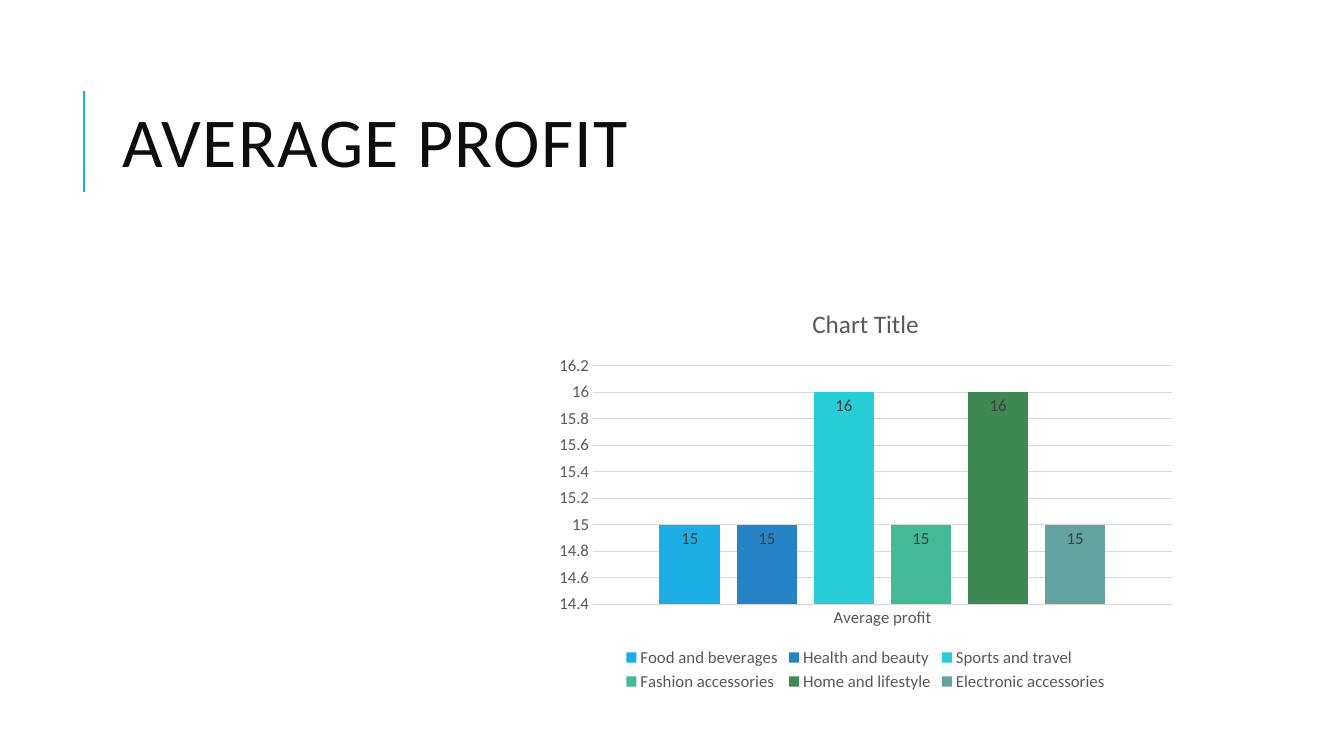
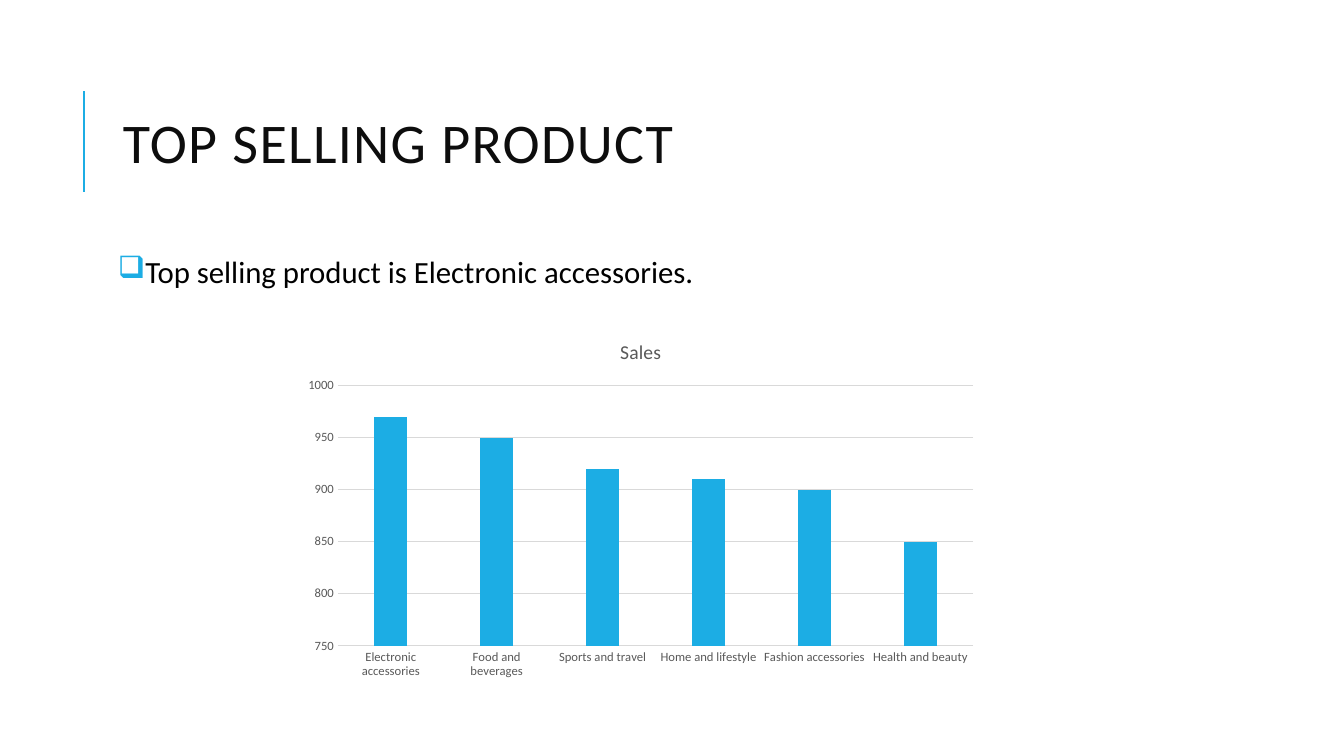
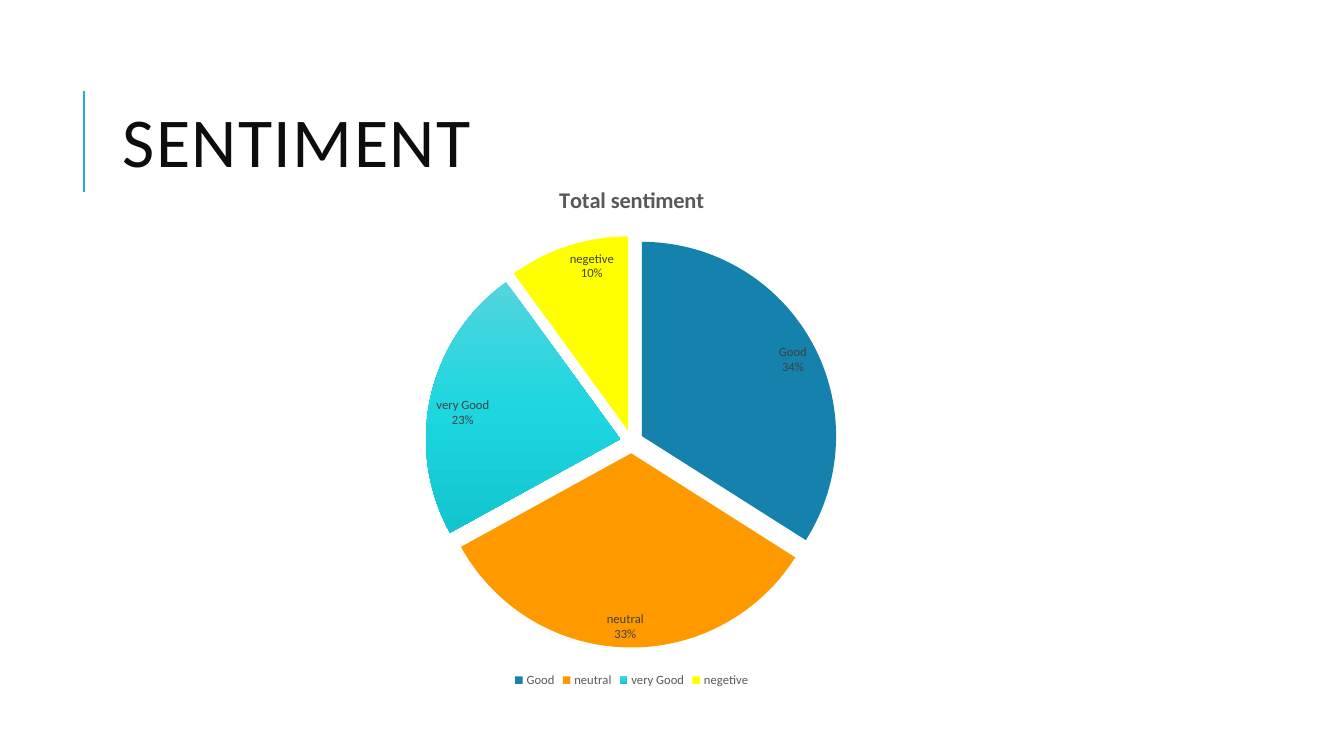
"""Build three sales slides, each with a title and a chart."""
from dataclasses import dataclass

from lxml import etree
from pptx import Presentation
from pptx.chart.chart import Chart
from pptx.chart.data import CategoryChartData
from pptx.dml.color import RGBColor
from pptx.dml.fill import FillFormat
from pptx.enum.chart import XL_CHART_TYPE, XL_LABEL_POSITION, XL_LEGEND_POSITION, XL_TICK_MARK
from pptx.enum.shapes import MSO_CONNECTOR
from pptx.enum.text import MSO_ANCHOR
from pptx.oxml.ns import qn
from pptx.slide import Slide
from pptx.text.text import Font
from pptx.util import Inches, Pt

COLUMN = XL_CHART_TYPE.COLUMN_CLUSTERED
PIE = XL_CHART_TYPE.PIE
INSIDE_END = XL_LABEL_POSITION.INSIDE_END
BOTTOM = XL_LEGEND_POSITION.BOTTOM
NO_TICK = XL_TICK_MARK.NONE
STRAIGHT = MSO_CONNECTOR.STRAIGHT
MIDDLE = MSO_ANCHOR.MIDDLE

FACE = "Calibri"
ACCENT = "1CADE4"
TITLE_INK = "0D0D0D"
BODY_INK = "000000"
CHART_INK = "595959"
LABEL_INK = "404040"
GRID = "D9D9D9"
PROFIT_COLOURS = (ACCENT, "2683C6", "27CED7", "42BA97", "3E8853", "62A39F")
PIE_COLOURS = ("1482AC", "FF9900", (("0", "52D5DD"), ("50000", "1ED6E0"), ("100000", "13C5CF")), "FFFF00")


@dataclass(frozen=True)
class Box:
    """A place on the slide, in inches."""
    left: float
    top: float
    width: float
    height: float

    def lengths(self) -> tuple:
        """Return the four lengths that python-pptx expects."""
        return Inches(self.left), Inches(self.top), Inches(self.width), Inches(self.height)


@dataclass(frozen=True)
class Scale:
    """The range and step of a value axis."""
    low: float
    high: float
    step: float


@dataclass(frozen=True)
class ChartSpec:
    """Everything that differs between the charts."""
    kind: int
    box: Box
    title: str
    title_size: int
    text_size: int
    categories: tuple
    series: dict
    bold: bool = False
    legend: bool = False


TITLE_BOX = Box(1.12, 0.64, 10.63, 1.64)
BODY_BOX = Box(1.12, 2.5, 10.63, 4.4)

PROFIT = ChartSpec(
    COLUMN, Box(5.42, 2.86, 6.33, 4.04), "Chart Title", 18, 12, ("Average profit",),
    {"Food and beverages": (15,), "Health and beauty": (15,), "Sports and travel": (16,),
     "Fashion accessories": (15,), "Home and lifestyle": (16,), "Electronic accessories": (15,)},
    legend=True)
SALES = ChartSpec(
    COLUMN, Box(2.92, 3.2, 6.87, 3.61), "Sales", 14, 9,
    ("Electronic accessories", "Food and beverages", "Sports and travel",
     "Home and lifestyle", "Fashion accessories", "Health and beauty"),
    {"Sales": (970, 950, 920, 910, 900, 850)})
SENTIMENT = ChartSpec(
    PIE, Box(2.26, 1.64, 8.01, 5.22), "Total sentiment", 16, 9,
    ("Good", "neutral", "very Good", "negetive"),
    {"Total sentiment": (34, 33, 23, 10)}, bold=True, legend=True)


def rgb(colour: str) -> RGBColor:
    """Turn a hex string into a colour."""
    return RGBColor.from_string(colour)


def style_font(font: Font, size: float, colour: str, bold: bool = False) -> None:
    """Set face, size, colour and weight."""
    font.name = FACE
    font.size = Pt(size)
    font.bold = bold
    font.color.rgb = rgb(colour)


def paint(fill: FillFormat, colour: str) -> None:
    """Give a solid fill."""
    fill.solid()
    fill.fore_color.rgb = rgb(colour)


def add_text(page: Slide, box: Box, text: str, size: float, colour: str, spacing: float) -> tuple:
    """Add a wrapped text box and return its frame, paragraph and run."""
    frame = page.shapes.add_textbox(*box.lengths()).text_frame
    frame.word_wrap = True
    para = frame.paragraphs[0]
    para.line_spacing = spacing
    span = para.add_run()
    span.text = text
    style_font(span.font, size, colour)
    return frame, para, span


def add_page(deck, title: str, size: float) -> Slide:
    """Add a slide with the accent rule and title."""
    page = deck.slides.add_slide(deck.slide_layouts[6])
    rule = page.shapes.add_connector(STRAIGHT, Inches(0.83), Inches(1.9), Inches(0.83), Inches(0.9))
    rule.line.color.rgb = rgb(ACCENT)
    rule.line.width = Pt(1.5)
    etree.SubElement(rule.element.spPr, qn("a:effectLst"))
    frame, _, span = add_text(page, TITLE_BOX, title, size, TITLE_INK, 0.8)
    frame.vertical_anchor = MIDDLE
    span.font._element.set("spc", "100")
    return page


def add_bullet(page: Slide, text: str) -> None:
    """Add the bulleted body text."""
    frame, para, _ = add_text(page, BODY_BOX, text, 22, BODY_INK, 0.9)
    frame.margin_left = frame.margin_right = Inches(0.05)
    frame.margin_top = frame.margin_bottom = Inches(0.05)
    para.space_before, para.space_after = Pt(12), Pt(2)
    properties = para._p.get_or_add_pPr()
    properties.set("marL", str(Inches(0.1)))
    properties.set("indent", str(-Inches(0.1)))
    colour = etree.SubElement(properties, qn("a:buClr"))
    etree.SubElement(colour, qn("a:srgbClr"), val=ACCENT)
    etree.SubElement(properties, qn("a:buChar"), char="❑")


def add_chart(page: Slide, spec: ChartSpec) -> Chart:
    """Add a chart with its title and legend."""
    data = CategoryChartData()
    data.categories = spec.categories
    for name, values in spec.series.items():
        data.add_series(name, values)
    chart = page.shapes.add_chart(spec.kind, *spec.box.lengths(), data).chart
    style_font(chart.font, 10, BODY_INK)
    chart.has_title = True
    span = chart.chart_title.text_frame.paragraphs[0].add_run()
    span.text = spec.title
    style_font(span.font, spec.title_size, CHART_INK, spec.bold)
    chart.has_legend = spec.legend
    if spec.legend:
        chart.legend.position = BOTTOM
        chart.legend.include_in_layout = False
        style_font(chart.legend.font, spec.text_size, CHART_INK)
    return chart


def add_labels(chart: Chart, size: float, percent: bool) -> None:
    """Label values, or categories with percentages, at the inside end."""
    plot = chart.plots[0]
    plot.has_data_labels = True
    labels = plot.data_labels
    labels.show_value = not percent
    labels.show_percentage = labels.show_category_name = percent
    labels.position = INSIDE_END
    style_font(labels.font, size, LABEL_INK)


def add_columns(page: Slide, spec: ChartSpec, colours: tuple, scale: Scale) -> Chart:
    """Add a clustered column chart."""
    chart = add_chart(page, spec)
    plot = chart.plots[0]
    plot.vary_by_categories = False
    plot.gap_width, plot.overlap = 219, -27
    for series, colour in zip(plot.series, colours):
        paint(series.format.fill, colour)
    category_axis, value_axis = chart.category_axis, chart.value_axis
    for axis in (category_axis, value_axis):
        axis.major_tick_mark = axis.minor_tick_mark = NO_TICK
        style_font(axis.tick_labels.font, spec.text_size, CHART_INK)
    value_axis.minimum_scale, value_axis.maximum_scale = scale.low, scale.high
    value_axis.major_unit = scale.step
    value_axis.format.line.fill.background()
    for line in (category_axis.format.line, value_axis.major_gridlines.format.line):
        line.color.rgb = rgb(GRID)
        line.width = Pt(0.75)
    return chart


def paint_gradient(fill: FillFormat, chart: Chart, stops: tuple) -> None:
    """Give the chart's one gradient fill, running downwards."""
    fill.gradient()
    fill.gradient_angle = 270
    stop_list = next(chart.element.iter(qn("a:gsLst")))
    for stop in list(stop_list):
        stop_list.remove(stop)
    for position, colour in stops:
        stop = etree.SubElement(stop_list, qn("a:gs"), pos=position)
        etree.SubElement(stop, qn("a:srgbClr"), val=colour)


def add_pie(page: Slide, spec: ChartSpec, colours: tuple) -> None:
    """Add an exploded pie chart."""
    chart = add_chart(page, spec)
    plot = chart.plots[0]
    plot.vary_by_categories = True
    series = plot.series[0]
    explosion = etree.Element(qn("c:explosion"), val="6")
    next(chart.element.iter(qn("c:ser"))).find(qn("c:tx")).addnext(explosion)
    for index, colour in enumerate(colours):
        fill = series.points[index].format.fill
        if isinstance(colour, str):
            paint(fill, colour)
        else:
            paint_gradient(fill, chart, colour)
    add_labels(chart, spec.text_size, percent=True)


def main() -> None:
    """Build and save the deck."""
    deck = Presentation()
    deck.slide_width, deck.slide_height = Inches(13.33), Inches(7.5)

    page = add_page(deck, "AVERAGE PROFIT", 50)
    chart = add_columns(page, PROFIT, PROFIT_COLOURS, Scale(14.4, 16.2, 0.2))
    add_labels(chart, PROFIT.text_size, percent=False)

    page = add_page(deck, "TOP SELLING PRODUCT", 40)
    add_bullet(page, "Top selling product is Electronic accessories.")
    add_columns(page, SALES, (ACCENT,), Scale(750, 1000, 50))

    page = add_page(deck, "SENTIMENT", 50)
    add_pie(page, SENTIMENT, PIE_COLOURS)

    deck.save("out.pptx")


if __name__ == "__main__":
    main()
